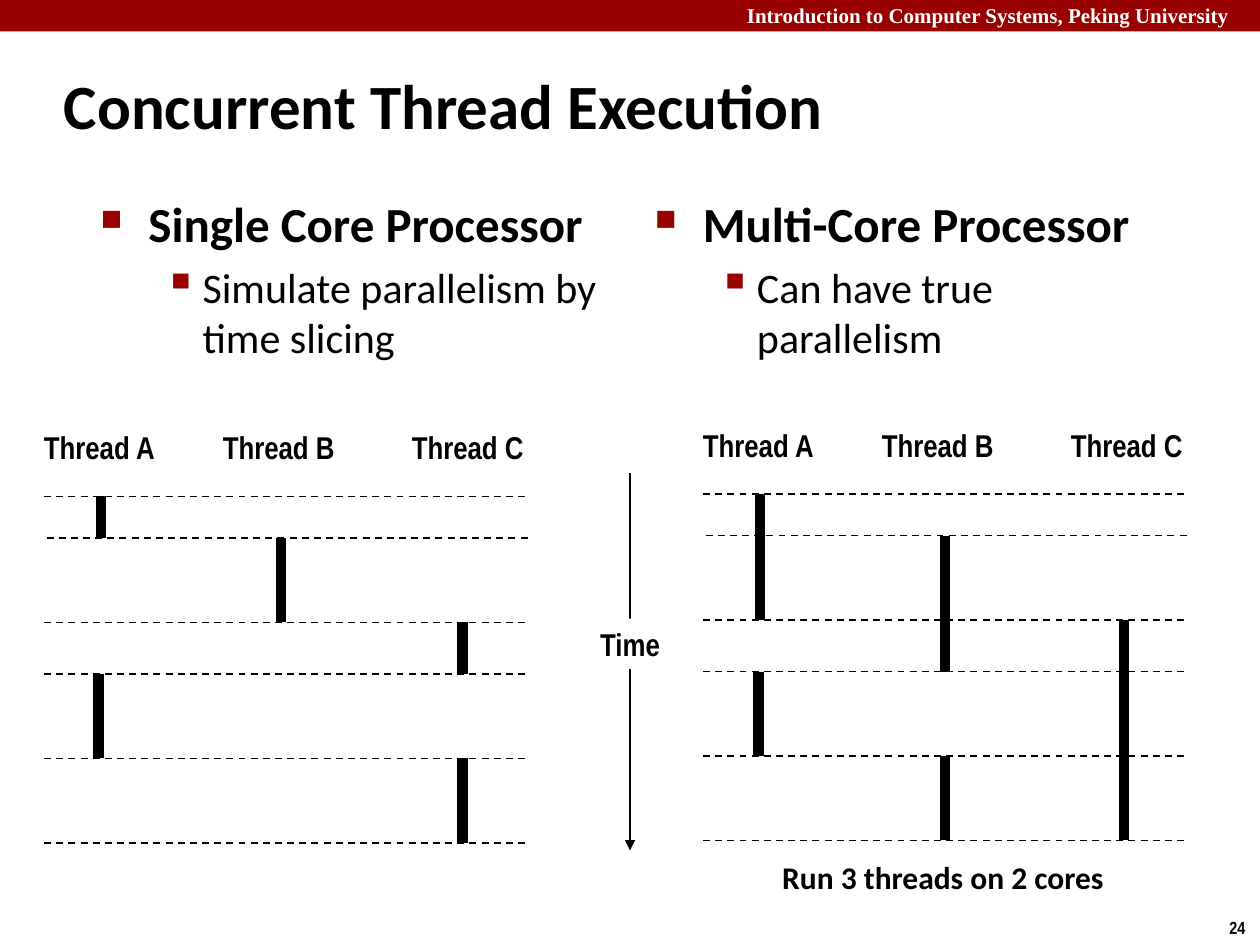
import pptx
import pptx.util
import pptx.dml.color
import pptx.enum.dml
import pptx.enum.shapes
import pptx.enum.text
import pptx.oxml
import pptx.oxml.ns
import lxml.etree

Inches = pptx.util.Inches
Pt = pptx.util.Pt
PP_ALIGN = pptx.enum.text.PP_ALIGN
MSO_ANCHOR = pptx.enum.text.MSO_ANCHOR
RECTANGLE = pptx.enum.shapes.MSO_SHAPE.RECTANGLE
BLACK, WHITE, RED = "000000", "FFFFFF", "990000"
NARROW, SANS, SERIF = "Arial Narrow", "Calibri", "Times New Roman"
ROWS = (0.59, 0.92, 1.59, 2.0, 2.67, 3.34)
THREADS = (("Thread A", 0), ("Thread B", 1.42), ("Thread C", 2.92))


def color(value):
    return pptx.dml.color.RGBColor.from_string(value)


def add_element(parent, tag, **attributes):
    return lxml.etree.SubElement(parent, pptx.oxml.ns.qn(tag), attributes)


def write(para, text, size=18, font=SANS, fill=BLACK, bold=True, align=PP_ALIGN.LEFT):
    para.alignment = align
    span = para.add_run()
    span.text = text
    span.font.size = Pt(size)
    span.font.name = font
    span.font.bold = bold
    span.font.color.rgb = color(fill)


def add_text(page, left, top, width, height, text, wrap=False,
             anchor=MSO_ANCHOR.TOP, **style):
    box = page.shapes.add_textbox(Inches(left), Inches(top), Inches(width), Inches(height))
    box.text_frame.word_wrap = wrap
    box.text_frame.vertical_anchor = anchor
    write(box.text_frame.paragraphs[0], text, **style)


def add_block(page, left, top, width, height, fill):
    block = page.shapes.add_shape(
        RECTANGLE, Inches(left), Inches(top), Inches(width), Inches(height))
    block.shadow.inherit = False
    block.fill.solid()
    block.fill.fore_color.rgb = color(fill)
    block.line.fill.background()


def add_line(page, x1, y1, x2, y2, weight=1, dashed=False, arrow=False):
    line = page.shapes.add_connector(
        pptx.enum.shapes.MSO_CONNECTOR.STRAIGHT,
        Inches(x1), Inches(y1), Inches(x2), Inches(y2))
    line.line.color.rgb = color(BLACK)
    line.line.width = Pt(weight)
    if dashed:
        line.line.dash_style = pptx.enum.dml.MSO_LINE.DASH
    if arrow:
        add_element(line.line._get_or_add_ln(), "a:tailEnd", type="triangle")
    add_element(line._element.spPr, "a:effectLst")


def set_bullet(para, margin, indent, mark, percent):
    properties = para._p.get_or_add_pPr()
    properties.set("marL", str(Inches(margin)))
    properties.set("indent", str(Inches(indent)))
    add_element(add_element(properties, "a:buClr"), "a:srgbClr", val=RED)
    add_element(properties, "a:buSzPct", val=str(percent * 1000))
    add_element(properties, "a:buChar", char=mark)


def add_frame(page, left, top, width, height):
    add_block(page, left, top, width, 0.25, RED)
    add_text(page, left + 5.83, top - 0.03, 4.24, 0.3,
             "Introduction to Computer Systems, Peking University",
             wrap=True, size=12, font=SERIF, fill=WHITE)
    add_text(page, left + width - 0.34, top + height - 0.27, 0.34, 0.27,
             "24", size=10, font=NARROW)
    add_text(page, left + 0.41, top + 0.41, 8.3, 0.83, "Concurrent Thread Execution",
             wrap=True, anchor=MSO_ANCHOR.MIDDLE, size=36)


def add_column(page, left, top, width, height, heading, detail):
    box = page.shapes.add_textbox(Inches(left), Inches(top), Inches(width), Inches(height))
    frame = box.text_frame
    frame.word_wrap = True
    para = frame.paragraphs[0]
    set_bullet(para, 0.38, -0.38, "■", 60)
    write(para, heading, size=28)
    para = frame.add_paragraph()
    para.level = 1
    set_bullet(para, 0.81, -0.31, "▪", 110)
    para.space_before = Pt(4.8)
    write(para, detail, size=24, bold=False)


def add_timeline(page, left, top, width, bars):
    for name, offset in THREADS:
        add_text(page, left + offset, top, 1.1, 0.4, name, font=NARROW)
    for offset, start, end in bars:
        add_line(page, left + offset, top + ROWS[start],
                 left + offset, top + ROWS[end], weight=6)
    for index, row in enumerate(ROWS):
        start = left + (0.12 if index == 1 else 0.1)
        add_line(page, start, top + row, start + width, top + row, dashed=True)


def add_time_axis(page, left, top, width, height):
    center = left + width / 2
    add_line(page, center, top, center, top + height, arrow=True)
    add_block(page, left, top + 1.16, width, 0.4, WHITE)
    add_text(page, left, top + 1.16, width, 0.4, "Time",
             font=NARROW, align=PP_ALIGN.CENTER)


def main():
    deck = pptx.Presentation()
    deck.slide_width = Inches(10)
    deck.slide_height = Inches(7.5)
    page = deck.slides.add_slide(deck.slide_layouts[6])
    add_frame(page, 0, 0, 10, 7.5)
    add_column(page, 0.7, 1.49, 4.23, 5.44,
               "Single Core Processor", "Simulate parallelism by time slicing")
    add_column(page, 5.1, 1.49, 4.23, 5.44,
               "Multi-Core Processor", "Can have true parallelism")
    add_time_axis(page, 4.66, 3.75, 0.68, 3)
    add_timeline(page, 0.25, 3.35, 3.82,
                 ((0.55, 0, 1), (1.98, 1, 2), (3.42, 2, 3), (0.53, 3, 4), (3.42, 4, 5)))
    add_timeline(page, 5.48, 3.33, 3.82,
                 ((0.55, 0, 2), (2.02, 1, 3), (3.44, 2, 5), (0.54, 3, 4), (2.02, 4, 5)))
    add_text(page, 6.11, 6.76, 2.78, 0.4, "Run 3 threads on 2 cores")
    deck.save("out.pptx")


if __name__ == "__main__":
    main()
